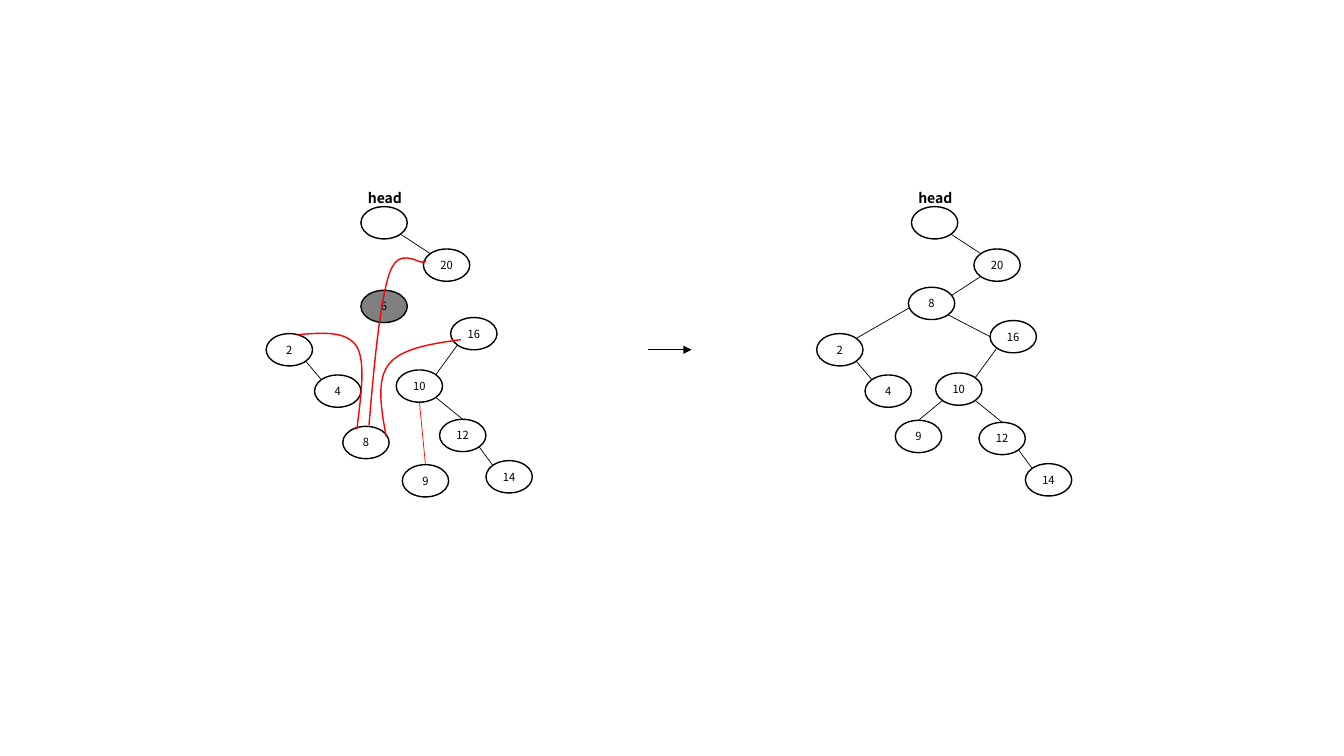
from dataclasses import dataclass
from itertools import chain
from math import sqrt

from lxml.etree import SubElement
from pptx import Presentation
from pptx.dml.color import RGBColor
from pptx.enum.shapes import MSO_CONNECTOR, MSO_SHAPE
from pptx.enum.text import MSO_ANCHOR, PP_ALIGN
from pptx.oxml.ns import qn
from pptx.util import Inches, Pt


@dataclass(frozen=True)
class Theme:
    font: str = "Noto Sans CJK KR"
    key_size: int = 8
    label_size: int = 10
    black: RGBColor = RGBColor(0, 0, 0)
    white: RGBColor = RGBColor(255, 255, 255)
    removed: RGBColor = RGBColor(128, 128, 128)
    relinked: RGBColor = RGBColor(255, 0, 0)
    thin: float = 0.5
    thick: float = 1


THEME = Theme()
NODE_W, NODE_H = 0.46, 0.32

# Points on a node's outline, as fractions of its half width and half height
DIAGONAL = sqrt(0.5)
TOP, BOTTOM, LEFT = (0, -1), (0, 1), (-1, 0)
TOP_LEFT, TOP_RIGHT = (-DIAGONAL, -DIAGONAL), (DIAGONAL, -DIAGONAL)
BOTTOM_LEFT, BOTTOM_RIGHT = (-DIAGONAL, DIAGONAL), (DIAGONAL, DIAGONAL)

# Branches that both trees share: top left corner of each node
UPPER_NODES = {"head": (3.58, 2.05), "20": (4.2, 2.47), "2": (2.64, 3.31), "4": (3.12, 3.72)}
LOWER_NODES = {"16": (4.47, 3.15), "10": (3.93, 3.67), "12": (4.36, 4.16), "14": (4.82, 4.57)}
SHARED_EDGES = [
    ("head", BOTTOM_RIGHT, "20", TOP_LEFT),
    ("2", BOTTOM_RIGHT, "4", TOP_LEFT),
    ("16", BOTTOM_LEFT, "10", TOP_RIGHT),
    ("10", BOTTOM_RIGHT, "12", TOP),
    ("12", BOTTOM_RIGHT, "14", TOP_LEFT),
]
UPPER_SHIFT, LOWER_SHIFT = (5.46, 0), (5.35, 0.03)

# What differs between the trees
BEFORE_NODES = {"6": (3.58, 2.88), "8": (3.4, 4.23), "9": (3.99, 4.61)}
AFTER_NODES = {"8": (9.01, 2.85), "9": (8.88, 4.17)}
AFTER_EDGES = [
    ("20", BOTTOM_LEFT, "8", (0.87, -0.5)),
    ("8", (-0.87, 0.2), "2", TOP_RIGHT),
    ("8", BOTTOM_RIGHT, "16", LEFT),
    ("10", BOTTOM_LEFT, "9", TOP),
]

# Curved links of node 8: a start, then three points for each Bézier segment
RELINK_CURVES = [
    [(3.54, 4.26), (3.58, 3.93), (3.63, 3.6), (3.54, 3.44),
     (3.44, 3.28), (3.2, 3.3), (2.96, 3.32)],
    [(3.83, 4.33), (3.78, 4.05), (3.73, 3.77), (3.86, 3.61),
     (3.98, 3.46), (4.27, 3.41), (4.57, 3.37)],
    [(3.66, 4.22), (3.71, 3.61), (3.77, 2.99), (3.86, 2.72),
     (3.95, 2.44), (4.14, 2.61), (4.19, 2.6),
     (4.25, 2.58), (4.22, 2.59), (4.19, 2.61)],
]


def shifted(nodes, shift):
    return {key: (x + shift[0], y + shift[1]) for key, (x, y) in nodes.items()}


def outline_point(corner, site):
    return (corner[0] + NODE_W / 2 * (1 + site[0]),
            corner[1] + NODE_H / 2 * (1 + site[1]))


def style_run(paragraph, size, bold=False):
    font = paragraph.runs[0].font
    font.name, font.size, font.bold = THEME.font, Pt(size), bold
    font.color.rgb = THEME.black


def add_line(slide, start, end, color=THEME.black, arrow=False):
    line = slide.shapes.add_connector(
        MSO_CONNECTOR.STRAIGHT, *(Inches(value) for value in chain(start, end)))
    line.line.color.rgb = color
    line.line.width = Pt(THEME.thin)
    properties = line._element.spPr
    if arrow:
        SubElement(properties.find(qn("a:ln")), qn("a:tailEnd"), type="triangle")
    SubElement(properties, qn("a:effectLst"))


def add_edge(slide, nodes, parent, parent_site, child, child_site, color=THEME.black):
    add_line(slide, outline_point(nodes[parent], parent_site),
             outline_point(nodes[child], child_site), color)


def add_node(slide, key, corner):
    node = slide.shapes.add_shape(
        MSO_SHAPE.OVAL, Inches(corner[0]), Inches(corner[1]), Inches(NODE_W), Inches(NODE_H))
    node.shadow.inherit = False
    node.fill.solid()
    node.fill.fore_color.rgb = THEME.removed if key == "6" else THEME.white
    node.line.color.rgb = THEME.black
    node.line.width = Pt(THEME.thick)
    if key == "head":
        return
    frame = node.text_frame
    frame.margin_left = frame.margin_right = frame.margin_top = frame.margin_bottom = 0
    frame.word_wrap = False
    frame.vertical_anchor = MSO_ANCHOR.MIDDLE
    frame.text = key
    frame.paragraphs[0].alignment = PP_ALIGN.CENTER
    style_run(frame.paragraphs[0], THEME.key_size)


def add_head_label(slide, corner):
    label = slide.shapes.add_textbox(
        Inches(corner[0] - 0.03), Inches(corner[1] - 0.22), Inches(0.55), Inches(0.27))
    label.text_frame.word_wrap = True
    label.text_frame.text = "head"
    style_run(label.text_frame.paragraphs[0], THEME.label_size, bold=True)


def add_curve(slide, points):
    start, *others = [(Inches(x), Inches(y)) for x, y in points]
    builder = slide.shapes.build_freeform(*start)
    builder.add_line_segments(others, close=False)
    curve = builder.convert_to_shape()
    curve.shadow.inherit = False
    curve.fill.background()
    curve.line.color.rgb = THEME.relinked
    curve.line.width = Pt(THEME.thick)
    # Turn every three straight segments into one cubic segment
    segments = curve._element.xpath(".//a:lnTo")
    for first in range(0, len(segments), 3):
        cubic = segments[first]
        cubic.tag = qn("a:cubicBezTo")
        for follower in segments[first + 1:first + 3]:
            cubic.append(follower[0])
            follower.getparent().remove(follower)


def add_tree(slide, nodes, edges):
    for edge in edges:
        add_edge(slide, nodes, *edge)
    for key, corner in nodes.items():
        add_node(slide, key, corner)
    add_head_label(slide, nodes["head"])


def main():
    presentation = Presentation()
    presentation.slide_width, presentation.slide_height = Inches(13.33), Inches(7.5)
    slide = presentation.slides.add_slide(presentation.slide_layouts[6])

    # Tree while node 6 is being removed
    before = UPPER_NODES | LOWER_NODES | BEFORE_NODES
    relinked_edge = ("10", BOTTOM, "9", TOP, THEME.relinked)
    add_tree(slide, before, SHARED_EDGES + [relinked_edge])
    for curve_points in RELINK_CURVES:
        add_curve(slide, curve_points)

    # Step arrow
    add_line(slide, (6.43, 3.47), (6.86, 3.47), arrow=True)

    # Tree with node 8 in the place of node 6
    after = shifted(UPPER_NODES, UPPER_SHIFT) | shifted(LOWER_NODES, LOWER_SHIFT) | AFTER_NODES
    add_tree(slide, after, SHARED_EDGES + AFTER_EDGES)

    presentation.save("out.pptx")


if __name__ == "__main__":
    main()
